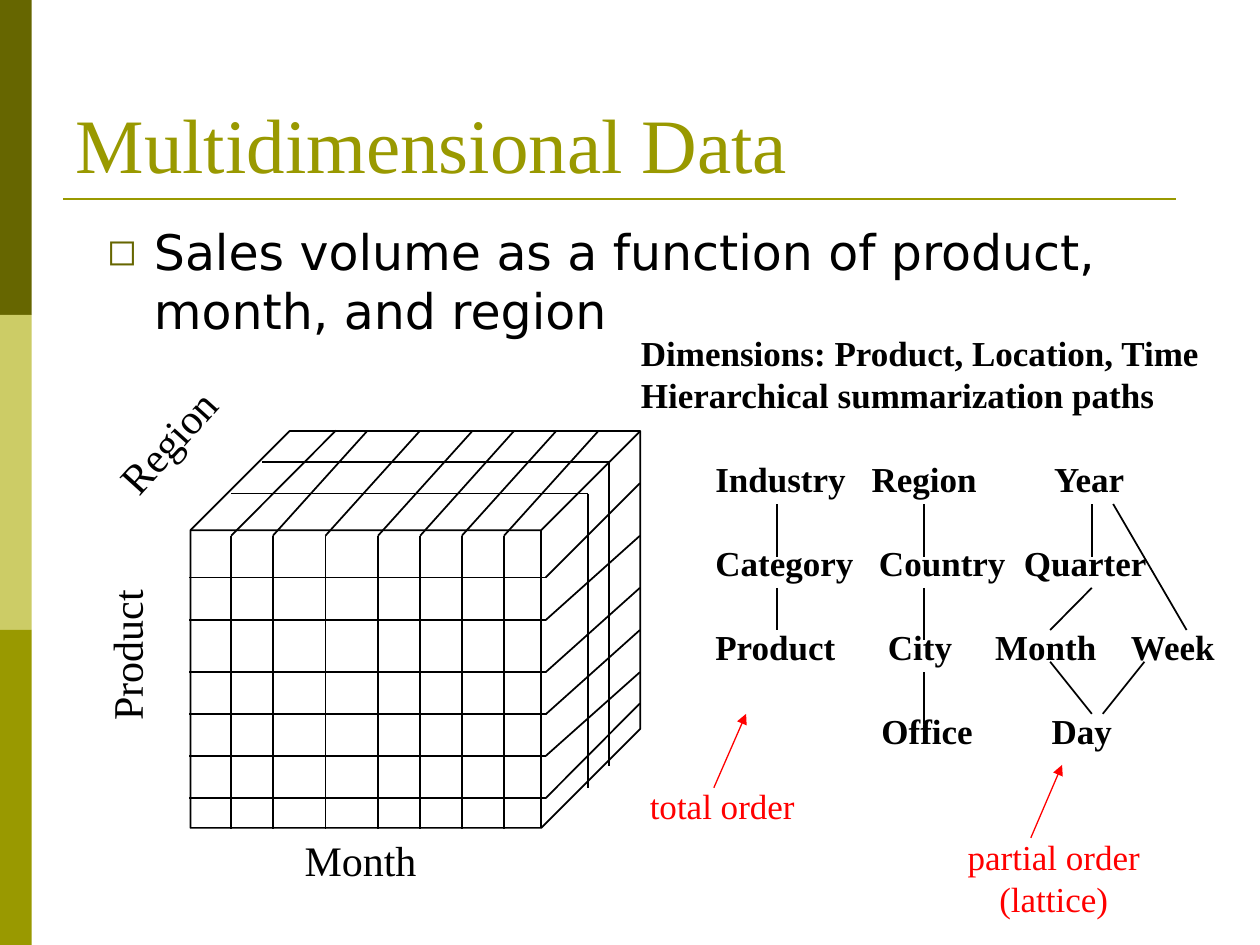
from lxml import etree
from pptx import Presentation, util as u
from pptx.dml import color
from pptx.enum import shapes, text
from pptx.oxml import ns

SERIF, SANS = "Times New Roman", "DejaVu Sans"
BLACK, RED, OLIVE, DARK, PALE = "000000", "FF0000", "999900", "666600", "CCCC66"


def rgb(code):
    return color.RGBColor.from_string(code)


def sub(node, tag, **attrs):
    return etree.SubElement(node, ns.qn("a:" + tag), attrs)


class Page:
    base = {"name": SERIF, "size": 24, "bold": False}

    def __init__(self, slide):
        self.slide = slide

    def bar(self, kind, box, fill=None, line=None):
        item = self.slide.shapes.add_shape(kind, *map(u.Cm, box))
        item.shadow.inherit = False
        if fill:
            item.fill.solid()
            item.fill.fore_color.rgb = rgb(fill)
        else:
            item.fill.background()
        if line:
            item.line.color.rgb = rgb(line)
            item.line.width = u.Pt(1)
        else:
            item.line.fill.background()

    def line(self, x1, y1, x2, y2, tint=BLACK, width=1, arrow=False):
        item = self.slide.shapes.add_connector(
            shapes.MSO_CONNECTOR.STRAIGHT, *map(u.Cm, (x1, y1, x2, y2)))
        item.line.color.rgb = rgb(tint)
        item.line.width = u.Pt(width)
        props = item._element.spPr
        if arrow:
            sub(props.find(ns.qn("a:ln")), "tailEnd", type="triangle")
        sub(props, "effectLst")

    def fill(self, frame, rows, tint=BLACK, align=text.PP_ALIGN.LEFT, gap=0, **form):
        paras = []
        for i, row in enumerate(rows):
            para = frame.paragraphs[0] if i == 0 else frame.add_paragraph()
            para.alignment = align
            para.space_before = u.Pt(gap if i else 0)
            run = para.add_run()
            run.text = row
            run.font.color.rgb = rgb(tint)
            for key, val in {**self.base, **form}.items():
                setattr(run.font, key, u.Pt(val) if key == "size" else val)
            paras.append(para)
        return paras

    def label(self, box, rows, turn=0, wrap=False, **form):
        item = self.slide.shapes.add_textbox(*map(u.Cm, box))
        item.rotation = turn
        item.text_frame.word_wrap = wrap
        item.text_frame.auto_size = text.MSO_AUTO_SIZE.SHAPE_TO_FIT_TEXT
        return self.fill(item.text_frame, rows, **form)

    def holder(self, index, box, rows, anchor, **form):
        item = self.slide.placeholders[index]
        for key, val in zip(("left", "top", "width", "height"), box):
            setattr(item, key, u.Cm(val))
        frame = item.text_frame
        frame.auto_size = text.MSO_AUTO_SIZE.NONE
        frame.vertical_anchor = anchor
        return self.fill(frame, rows, **form)

    def bullet(self, para, mark, tint):
        props = para._p.get_or_add_pPr()
        props.set("marL", str(u.Cm(0.95)))
        props.set("indent", str(-u.Cm(0.95)))
        sub(sub(props, "buClr"), "srgbClr", val=tint)
        sub(props, "buSzPct", val="75000")
        sub(props, "buFont", typeface=SANS)
        sub(props, "buChar", char=mark)

    def tabs(self, para, stops):
        tabs = sub(para._p.get_or_add_pPr(), "tabLst")
        for stop in stops:
            sub(tabs, "tab", pos=str(u.Cm(stop)), algn="l")


def draw_cube(page):
    left, edge, right = 3.81, 11, 12.9
    back, front, base = 8.68, 10.8, 16.72
    page.bar(shapes.MSO_SHAPE.CUBE, (3.84, 8.69, 9.07, 8), line=BLACK)
    for y, end in ((11.64, 9.74), (12.5, 10.8), (13.55, 11.85),
                   (14.4, 12.7), (15.24, 13.55), (16.09, 14.18)):
        page.line(left, y, edge, y)
        page.line(edge, y, right, end)
    for x, end in ((4.66, 6.77), (5.5, 7.41), (6.56, 8.47), (7.62, 9.53),
                   (8.47, 10.37), (9.31, 11.22), (10.16, 12.07)):
        page.line(x, front, x, base)
        page.line(x, front, end, back)
    for start, x, y, end in ((5.29, 12.28, 9.31, 15.45), (4.66, 11.85, 9.95, 15.88)):
        page.line(start, y, x, y)
        page.line(x, y, x, end)
    page.label((0.97, 12.57, 3.15, 1.27), ["Product"], turn=270)
    page.label((1.91, 8.26, 2.95, 1.27), ["Region"], turn=312, wrap=True)
    page.label((5.89, 16.69, 2.77, 1.27), ["Month"])


def draw_paths(page):
    page.label((12.67, 6.55, 11.81, 1.96),
               ["Dimensions: Product, Location, Time", "Hierarchical summarization paths"],
               size=20, bold=True)
    levels = {
        "Industry\tRegion\tYear": (3.15, 6.83),
        "Category\tCountry\tQuarter": (3.3, 6.22),
        "Product\tCity\tMonth\tWeek": (3.48, 5.64, 8.38),
        "\tOffice\tDay": (3.35, 6.78),
    }
    paras = page.label((14.17, 9.09, 10.67, 6.2), levels, wrap=True,
                       size=20, bold=True, gap=24)
    for para, stops in zip(paras, levels.values()):
        page.tabs(para, stops)

    item, place, time = 15.66, 18.63, 22.01
    for x in (item, place, time):
        page.line(x, 10.16, x, 11.22)
    for link in ((item, 11.85, item, 12.7), (place, 11.85, place, 12.91),
                 (place, 13.55, place, 14.6), (time, 11.85, 21.17, 12.7),
                 (22.44, 10.16, 23.92, 12.7), (21.17, 13.34, time, 14.39),
                 (23.07, 13.34, 22.23, 14.39)):
        page.line(*link)
    for arrow in ((14.39, 15.88, 15.04, 14.39), (20.78, 16.89, 21.41, 15.42)):
        page.line(*arrow, tint=RED, width=0.75, arrow=True)
    page.label((12.85, 15.7, 3.43, 1.09), ["total order"], tint=RED, size=20)
    page.label((19.25, 16.71, 3.99, 1.96), ["partial order", "(lattice)"],
               tint=RED, size=20, align=text.PP_ALIGN.CENTER)


def main():
    deck = Presentation()
    deck.slide_width, deck.slide_height = u.Cm(25.4), u.Cm(19.05)
    page = Page(deck.slides.add_slide(deck.slide_layouts[1]))
    for i, tint in enumerate((DARK, PALE, OLIVE)):
        page.bar(shapes.MSO_SHAPE.RECTANGLE, (0, i * 6.35, 0.64, 6.35), fill=tint)
    page.line(1.27, 4.01, 23.7, 4.01, tint=OLIVE, width=1.5)
    page.holder(0, (1.27, 0.76, 22.86, 3.18), ["Multidimensional Data"],
                text.MSO_ANCHOR.BOTTOM, tint=OLIVE, size=44)
    body = page.holder(1, (1.9, 4.34, 22.23, 12.7),
                       ["Sales volume as a function of product, month, and region"],
                       text.MSO_ANCHOR.TOP, name=SANS, size=28)
    page.bullet(body[0], "◻", DARK)
    draw_cube(page)
    draw_paths(page)
    deck.save("out.pptx")


if __name__ == "__main__":
    main()
